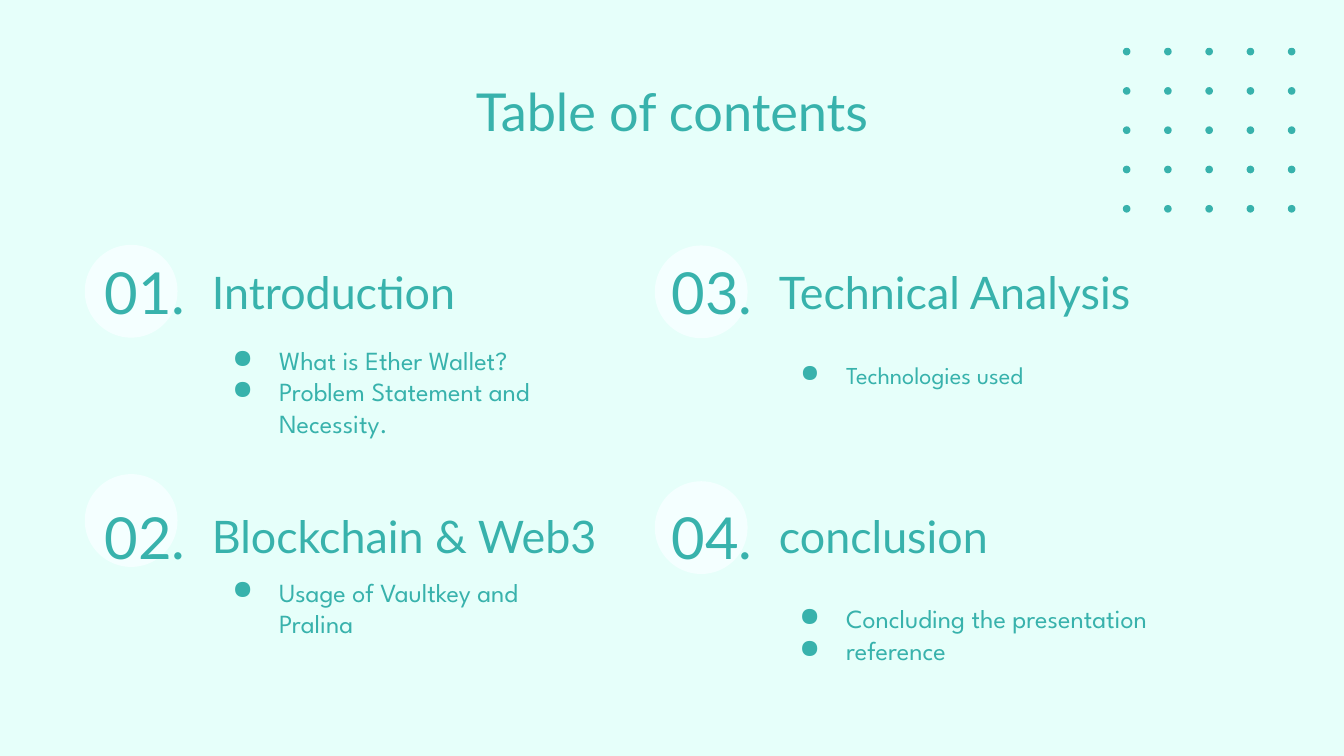
from dataclasses import dataclass
from itertools import product

from lxml.etree import SubElement
from pptx import Presentation
from pptx.dml.color import RGBColor
from pptx.enum.shapes import MSO_SHAPE
from pptx.enum.text import MSO_ANCHOR, PP_ALIGN
from pptx.oxml.ns import qn
from pptx.util import Pt

TEAL = RGBColor(0x38, 0xB2, 0xAC)
MINT = RGBColor(0xE6, 0xFF, 0xFA)
PALE = RGBColor(0xF4, 0xFF, 0xFF)
HEAD = "Lato"
BODY = "League Spartan"


@dataclass
class Topic:
    num: str
    name: str
    left: float
    top: float
    disc: tuple[float, float]
    list_top: float
    list_high: float
    items: list[str]
    size: float = 14


TOPICS = [
    Topic("01.", "Introduction", 31.7, 136, (45.4, 131.2), 177, 65.5,
          ["What is Ether Wallet?", "Problem Statement and Necessity."]),
    Topic("02.", "Blockchain & Web3", 31.7, 267, (45.4, 254), 307, 36.7,
          ["Usage of Vaultkey and Pralina"]),
    Topic("03.", "Technical Analysis", 335.5, 136, (350.8, 131.5), 184.3, 33,
          ["Technologies used"], 13),
    Topic("04.", "conclusion", 335.5, 267, (350.8, 257.8), 307, 65.5,
          ["Concluding the presentation", "reference"]),
]


def add_disc(slide, left: float, top: float, size: float, color: RGBColor) -> None:
    disc = slide.shapes.add_shape(MSO_SHAPE.OVAL, Pt(left), Pt(top), Pt(size), Pt(size))
    disc.shadow.inherit = False
    disc.fill.solid()
    disc.fill.fore_color.rgb = color
    disc.line.fill.background()


def add_text(slide, lines: list[str], left: float, top: float, wide: float,
             high: float, size: float, font: str = HEAD,
             align: PP_ALIGN = PP_ALIGN.LEFT,
             anchor: MSO_ANCHOR = MSO_ANCHOR.MIDDLE) -> list:
    frame = slide.shapes.add_textbox(Pt(left), Pt(top), Pt(wide), Pt(high)).text_frame
    frame.word_wrap = True
    frame.vertical_anchor = anchor
    frame.margin_left = frame.margin_right = Pt(7.2)
    frame.margin_top = frame.margin_bottom = Pt(7.2)
    frame.text = "\n".join(lines)
    for para in frame.paragraphs:
        para.alignment = align
        para.font.name = font
        para.font.size = Pt(size)
        para.font.color.rgb = TEAL
    return list(frame.paragraphs)


def add_bullet(para, size: float) -> None:
    props = para._p.get_or_add_pPr()
    props.set("marL", str(Pt(36)))
    props.set("indent", str(-Pt(size / 2 + 18)))
    mark = SubElement(props, qn("a:buChar"))
    mark.set("char", "●")
    props.insert(0, mark)


def add_topic(slide, topic: Topic) -> None:
    left = topic.left + 74.7
    add_text(slide, [topic.name], left, topic.top, 245, 40.3, 24)
    add_text(slide, [topic.num], topic.left, topic.top, 74.7, 40.3, 31,
             align=PP_ALIGN.RIGHT)
    for para in add_text(slide, topic.items, left, topic.list_top, 215,
                         topic.list_high, topic.size, BODY):
        add_bullet(para, topic.size)


def main() -> None:
    """Build the table of contents slide."""
    deck = Presentation()
    deck.slide_width, deck.slide_height = Pt(720), Pt(405)
    slide = deck.slides.add_slide(deck.slide_layouts[6])
    slide.background.fill.solid()
    slide.background.fill.fore_color.rgb = MINT
    for col, row in product(range(5), range(5)):
        add_disc(slide, 601.5 + 22.1 * col, 25.6 + 21.05 * row, 4.1, TEAL)
    for topic in TOPICS:
        add_disc(slide, *topic.disc, 49.7, PALE)
    for topic in TOPICS:
        add_topic(slide, topic)
    add_text(slide, ["Table of contents"], 56.7, 35.3, 606.6, 45.4, 28,
             align=PP_ALIGN.CENTER, anchor=MSO_ANCHOR.TOP)
    deck.save("out.pptx")


main()
